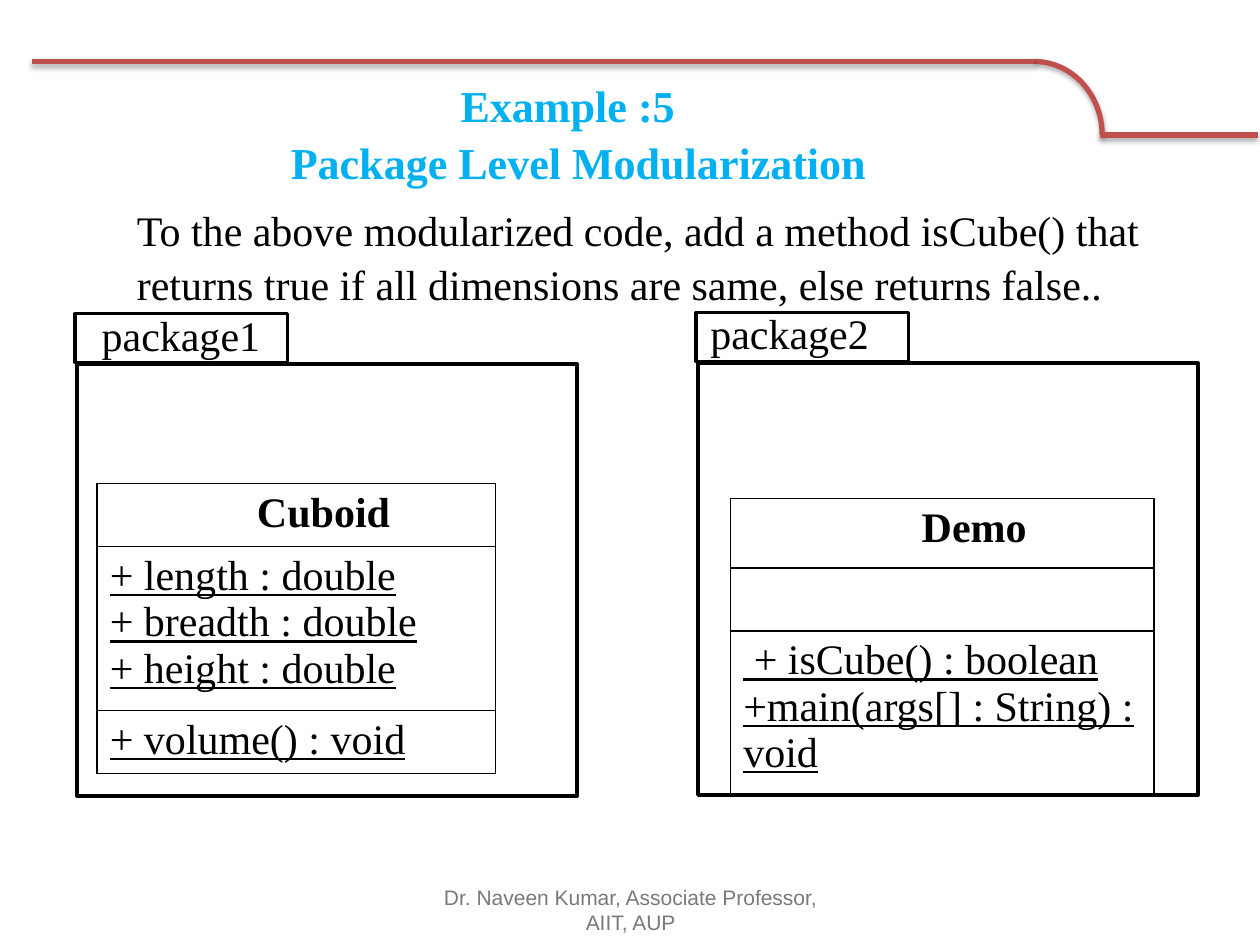
from lxml import etree
from pptx import Presentation
from pptx.dml.color import RGBColor
from pptx.enum.shapes import MSO_CONNECTOR, MSO_SHAPE
from pptx.enum.text import MSO_ANCHOR, PP_ALIGN
from pptx.oxml import parse_xml
from pptx.oxml.ns import nsdecls, qn
from pptx.util import Cm, Pt

SERIF = "Times New Roman"
BLACK, RED, BLUE, GREY = "000000", "C0504D", "00B0F0", "797979"


def color(value):
    return RGBColor.from_string(value)


def add_run(p, text, size=24, font=SERIF, fill=BLACK, bold=False, underline=False):
    r = p.add_run()
    r.text = text
    r.font.size = Pt(size)
    r.font.name = font
    r.font.bold = bold
    r.font.underline = underline
    r.font.color.rgb = color(fill)


def add_text(s, box, lines, align=PP_ALIGN.LEFT, anchor=MSO_ANCHOR.TOP, spacing=1.0, **style):
    tf = s.shapes.add_textbox(*map(Cm, box)).text_frame
    tf.word_wrap = True
    tf.vertical_anchor = anchor
    for i, line in enumerate(lines):
        p = tf.add_paragraph() if i else tf.paragraphs[0]
        p.alignment = align
        p.line_spacing = spacing
        add_run(p, line, **style)
    return tf


def add_shadow(sp):
    sp._element.spPr.append(parse_xml(
        f'<a:effectLst {nsdecls("a")}><a:outerShdw blurRad="{Pt(3.1)}" dist="{Pt(1.8)}" '
        'dir="5400000" rotWithShape="0"><a:srgbClr val="000000"><a:alpha val="35000"/>'
        '</a:srgbClr></a:outerShdw></a:effectLst>'))


def add_rule(s, left, top, right, bottom):
    """Red line that steps down through a quarter circle."""
    radius_x, radius_y = 1.37, bottom - top
    bend = 20.85
    arc = s.shapes.add_shape(MSO_SHAPE.ARC, Cm(bend - radius_x), Cm(top),
                             Cm(2 * radius_x), Cm(2 * radius_y))
    arc.fill.background()
    parts = [arc]
    for x1, x2, y in ((left, bend, top), (bend + radius_x - 0.05, right, bottom)):
        parts.append(s.shapes.add_connector(MSO_CONNECTOR.STRAIGHT, Cm(x1), Cm(y), Cm(x2), Cm(y)))
    for sp in parts:
        sp.line.color.rgb = color(RED)
        sp.line.width = Pt(3)
        add_shadow(sp)


def add_frame(s, *box):
    sp = s.shapes.add_shape(MSO_SHAPE.RECTANGLE, *map(Cm, box))
    sp.shadow.inherit = False
    sp.fill.background()
    sp.line.color.rgb = color(BLACK)
    sp.line.width = Pt(2)


def set_borders(cell):
    tc_pr = cell._tc.get_or_add_tcPr()
    for i, side in enumerate(("lnL", "lnR", "lnT", "lnB")):
        ln = etree.Element(qn(f"a:{side}"), w=str(Pt(1)))
        fill = etree.SubElement(ln, qn("a:solidFill"))
        etree.SubElement(fill, qn("a:srgbClr"), val=BLACK)
        tc_pr.insert(i, ln)


def add_class(s, left, top, width, heights, title, indent, fields, methods):
    """UML class table: title, fields and methods, one row each."""
    table = s.shapes.add_table(3, 1, Cm(left), Cm(top), Cm(width), Cm(sum(heights))).table
    table.first_row = table.horz_banding = False
    for i, (lines, height) in enumerate(zip(([title], fields, methods), heights)):
        table.rows[i].height = Cm(height)
        cell = table.cell(i, 0)
        cell.fill.background()
        set_borders(cell)
        if i == 0:
            cell.margin_left = Cm(indent)
        tf = cell.text_frame
        tf.paragraphs[0].font.size = Pt(24)
        for j, line in enumerate(lines):
            p = tf.add_paragraph() if j else tf.paragraphs[0]
            add_run(p, line, bold=i == 0, underline=i > 0)


def add_package(s, left, top, name, label_offset, class_offset, **uml):
    """UML package: frame with a name tab, holding one class."""
    dx, dy = class_offset
    add_class(s, left + dx, top + dy, **uml)
    add_frame(s, left, top, 10.08, 8.71)
    add_frame(s, left - 0.04, top - 1.02, 4.29, 0.99)
    dx, dy = label_offset
    add_text(s, (left + dx, top + dy, 3.71, 1.27), [name])


def main():
    prs = Presentation()
    prs.slide_width, prs.slide_height = Cm(25.4), Cm(19.05)
    s = prs.slides.add_slide(prs.slide_layouts[6])

    add_rule(s, 0.64, 1.24, 25.35, 2.72)
    title = add_text(s, (0, 1.73, 22.89, 1.83),
                     ["Example :5", "Package Level Modularization"],
                     PP_ALIGN.CENTER, MSO_ANCHOR.MIDDLE, 1.08,
                     size=25.2, fill=BLUE, bold=True)
    title.paragraphs[1]._p.get_or_add_pPr().set("marL", str(Cm(0.44)))
    add_text(s, (2.51, 3.91, 21.01, 2.31),
             ["To the above modularized code, add a method isCube() that "
              "returns true if all dimensions are same, else returns false.."],
             spacing=1.08)

    add_package(s, 1.55, 7.34, "package1", (0.25, -1.22), (0.41, 2.41),
                width=8.03, heights=(1.27, 3.3, 1.27), title="Cuboid", indent=3.22,
                fields=["+ length : double", "+ breadth : double", "+ height : double"],
                methods=["+ volume() : void"])
    add_package(s, 14.07, 7.32, "package2", (0, -1.24), (0.66, 2.73),
                width=8.53, heights=(1.4, 1.27, 3.3), title="Demo", indent=3.85,
                fields=[],
                methods=[" + isCube() : boolean", "+main(args[] : String) : void"])

    add_text(s, (8.69, 17.83, 8.05, 1.02),
             ["Dr. Naveen Kumar, Associate Professor, AIIT, AUP"],
             PP_ALIGN.CENTER, MSO_ANCHOR.MIDDLE, size=12, font="Arial", fill=GREY)
    prs.save("out.pptx")


if __name__ == "__main__":
    main()
